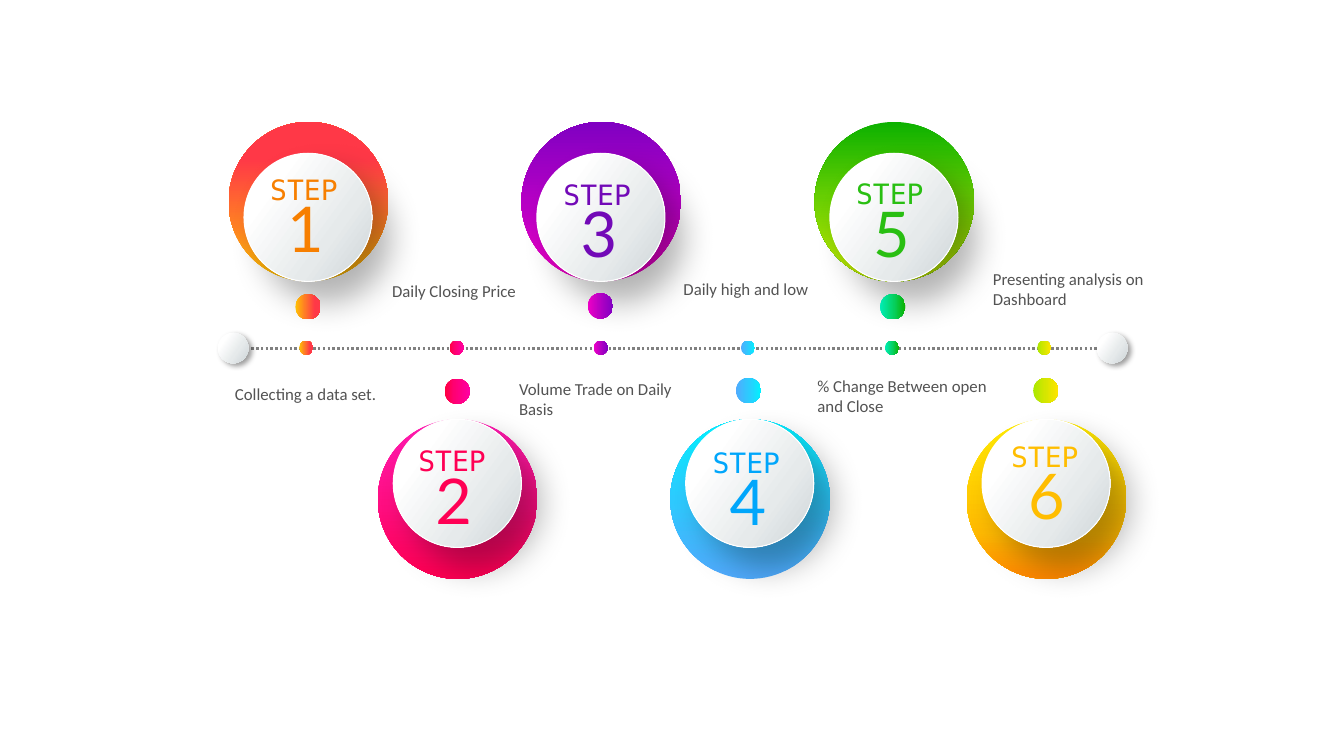
from pptx import Presentation
from pptx.dml import color
from pptx.enum import dml, shapes, text
from pptx.oxml import ns, xmlchemy
from pptx.util import Pt

GREY = [(0, "FFFFFF"), (23, "FFFFFF"), (67, "E6EAEB"), (100, "CDD5D8")]
KNOB = [(23, "FFFFFF"), (63, "E6EAEB"), (100, "CDD5D8")]
FIRE = [(0, "FFC203"), (37, "FF7D25"), (77, "FF3847")]
ROSE = [(2, "FF0040"), (37, "FF0071"), (99, "FF00A2")]
PINK = [(2, "FF1BB1"), (52, "FF0E82"), (98, "FF0054")]
PLUM = [(0, "F000C6"), (47, "B800C4"), (100, "8000C2")]
SKY = [(2, "4FACFE"), (58, "28CFFE"), (100, "00F2FE")]
MINT = [(0, "00EDB7"), (57, "06CF5C"), (100, "0CB100")]
LEAF = [(0, "0CB100"), (47, "67CE02"), (99, "C3EA03")]
LIME = [(0, "A9E800"), (47, "D4E600"), (100, "FFE500")]
GOLD = [(0, "FFEA03"), (71, "FFBA02"), (98, "FF8A00")]

# ring left, ring stops, ring angle, dot stops, small dot, large dot, word, ink
STEPS = [
    (163.3, FIRE, 270, FIRE, 213.8, (211, 210.2), (189.4, 119.5), "F77F00"),
    (269.9, PINK, 90, ROSE, 321.1, (317.5, 270.5), (295.2, 313.4), "FF0054"),
    (372.5, PLUM, 270, PLUM, 424.1, (419.8, 209.5), (398.9, 123.1), "7209B7"),
    (478.8, SKY, 270, SKY, 529.2, (525.6, 270), (505.4, 314.5), "00A6FB"),
    (581.8, LEAF, 90, MINT, 632.2, (628.6, 210.2), (607.9, 122.6), "29BF12"),
    (690.5, GOLD, 90, LIME, 740.9, (738, 270), (718.6, 310.2), "FFBD00"),
]

LABELS = [
    ("Collecting a data set.", 164.2, 270.7, 110),
    ("Daily Closing Price", 276.5, 197.3, 103),
    ("Volume Trade on Daily Basis", 367.2, 267.1, 119.5),
    ("Daily high and low", 484.6, 195.8, 132.5),
    ("% Change Between open and Close", 580.3, 265, 136),
    ("Presenting analysis on Dashboard", 705.6, 188.6, 145.5),
]


def rgb(ink):
    return color.RGBColor.from_string(ink)


def add(root, tag, **attrs):
    node = xmlchemy.OxmlElement(tag)
    for key, val in attrs.items():
        node.set(key, str(val))
    root.append(node)
    return node


def blend(shape, stops, angle):
    shape.fill.gradient()
    shape.fill.gradient_angle = (360 - angle) % 360
    bag = shape.element.spPr.find(".//" + ns.qn("a:gsLst"))
    for old in list(bag):
        bag.remove(old)
    for pos, ink in stops:
        add(add(bag, "a:gs", pos=pos * 1000), "a:srgbClr", val=ink)


def shade(shape, alpha, blur, dist, angle):
    bag = shape.element.spPr.find(ns.qn("a:effectLst"))
    drop = add(bag, "a:outerShdw", blurRad=Pt(blur), dist=Pt(dist),
               dir=angle * 60000, algn="tl", rotWithShape=0)
    add(add(drop, "a:srgbClr", val="000000"), "a:alpha", val=alpha * 1000)


def disc(slide, left, top, size, stops, angle=0):
    shape = slide.shapes.add_shape(
        shapes.MSO_SHAPE.OVAL, Pt(left), Pt(top), Pt(size), Pt(size))
    shape.shadow.inherit = False
    shape.line.fill.background()
    blend(shape, stops, angle)
    return shape


def write(slide, words, left, top, width, height, size, font, ink, mid=False):
    box = slide.shapes.add_textbox(Pt(left), Pt(top), Pt(width), Pt(height))
    frame = box.text_frame
    frame.word_wrap = True
    frame.auto_size = text.MSO_AUTO_SIZE.SHAPE_TO_FIT_TEXT
    frame.margin_left = frame.margin_right = Pt(3.6)
    frame.margin_top = frame.margin_bottom = Pt(3.6)
    para = frame.paragraphs[0]
    if mid:
        para.alignment = text.PP_ALIGN.CENTER
    run = para.add_run()
    run.text = words
    run.font.size = Pt(size)
    run.font.name = font
    run.font.color.rgb = rgb(ink)


def rail(slide):
    line = slide.shapes.add_connector(
        shapes.MSO_CONNECTOR.STRAIGHT, Pt(166), Pt(249), Pt(805), Pt(249))
    line.line.color.rgb = rgb("808080")
    line.line.width = Pt(1.7)
    line.line.dash_style = dml.MSO_LINE.ROUND_DOT
    add(line.element.spPr, "a:effectLst")
    for left in (155.5, 783.4):
        shade(disc(slide, left, 237.6, 22, KNOB, 35), 38, 4, 3.1, 39)


def badge(slide, left, stops, angle, upper):
    top = 87.1 if upper else 299.5
    disc(slide, left, top, 114, stops, angle)
    cap = disc(slide, left + 11, top + 22.4 * upper, 91.5, GREY, 36)
    cap.line.color.rgb = rgb("FFFFFF")
    cap.line.width = Pt(0.75)
    shade(cap, 30, 24, 19, 48)


def main():
    deck = Presentation()
    deck.slide_width, deck.slide_height = Pt(960), Pt(540)
    slide = deck.slides.add_slide(deck.slide_layouts[6])
    for words, left, top, width in LABELS:
        write(slide, words, left, top, width, 21.6, 12, "Calibri", "535353")
    rail(slide)
    for num, step in enumerate(STEPS, 1):
        left, ring, angle, stops, small, large, (x, y), ink = step
        disc(slide, small, 243.4, 10, stops)
        badge(slide, left, ring, angle, num % 2 == 1)
        write(slide, "STEP", x, y, 62, 32, 20, "DejaVu Sans Mono", ink)
        write(slide, str(num), x - 9.2, y + 12.5, 76, 64, 45, "Lato", ink, True)
        disc(slide, *large, 18, stops)
    deck.save("out.pptx")


if __name__ == "__main__":
    main()
